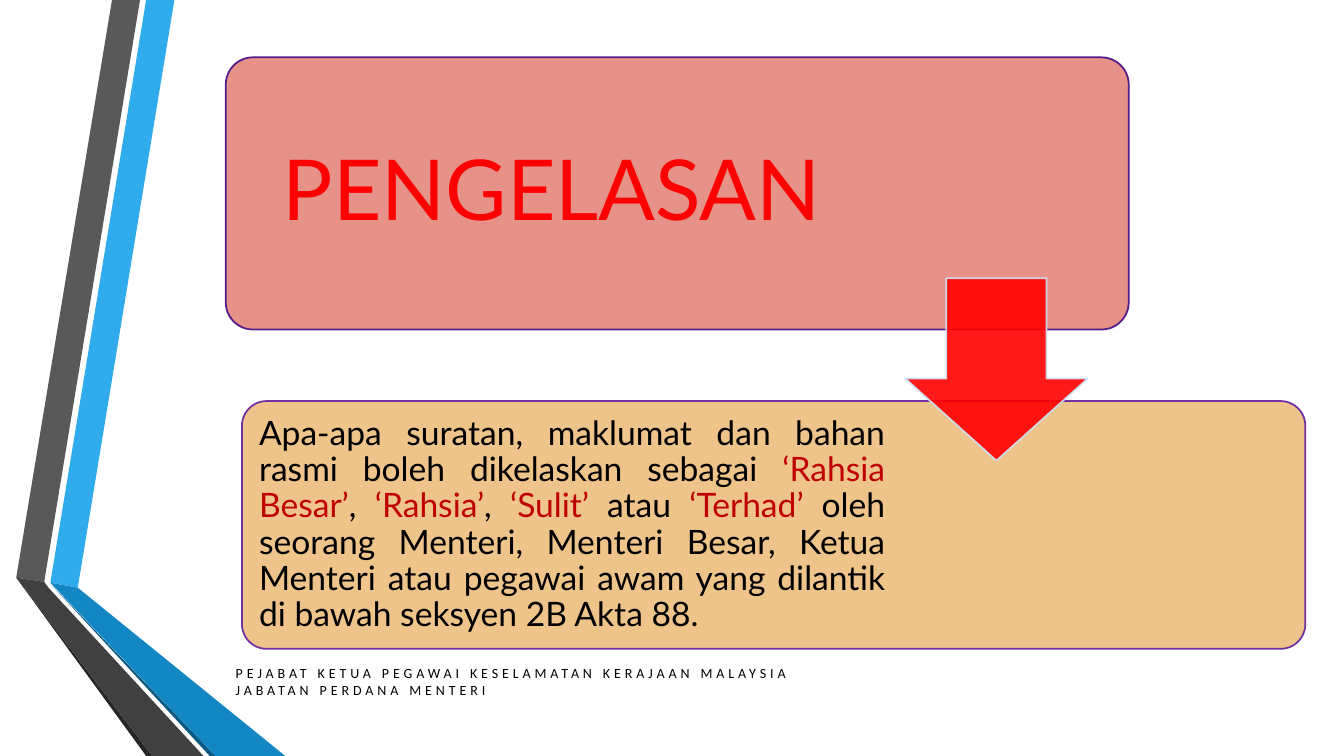
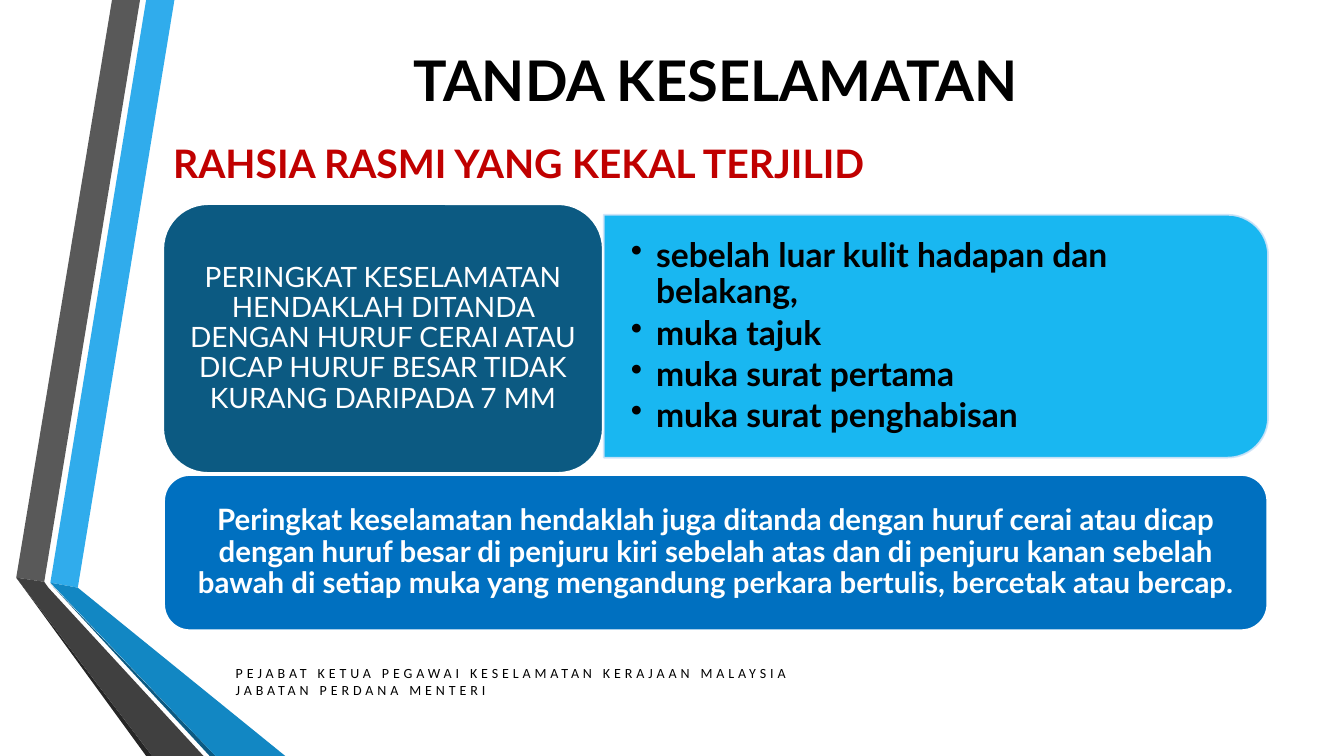
from pptx import Presentation
from pptx.dml.color import RGBColor
from pptx.enum.shapes import MSO_SHAPE
from pptx.enum.text import MSO_ANCHOR, PP_ALIGN
from pptx.oxml.ns import qn
from pptx.util import Pt
from lxml.etree import SubElement

COLORS = {
    "black": "000000", "white": "FFFFFF", "red": "FF0000", "crimson": "C00000",
    "sky": "30ACEC", "ocean": "1287C3", "navy": "0C5A82", "grey": "595959",
    "charcoal": "404040", "soot": "262626", "salmon": "E69289", "sand": "EEC48B",
    "violet": "541B89", "purple": "7030A0", "ice": "CDE3F8", "cyan": "00B0F0",
    "blue": "0070C0",
}

BANDS = [
    ("sky", [(36, 416.2), (55.6, 419.8), (124.6, 0), (104.4, 0)]),
    ("grey", [(100, 0), (80, 0), (11.6, 412.6), (31.6, 415.6)]),
    ("soot", [(11.6, 412.6), (104.4, 540), (108.7, 540)]),
    ("navy", [(36, 416.9), (149.8, 540), (154, 540)]),
    ("ocean", [(36, 416.2), (154, 540), (203.8, 540), (55.6, 419.8)]),
    ("charcoal", [(145.4, 540), (34.6, 419.8), (31.6, 415.6), (11.6, 412.6), (108.7, 540)]),
]

FOOTER = [
    "PEJABAT KETUA PEGAWAI KESELAMATAN KERAJAAN MALAYSIA",
    "JABATAN PERDANA MENTERI",
]
FOOTER_STYLE = dict(size=10, name="Calibri", spc=280)
TITLE_STYLE = dict(size=40, bold=True, align=PP_ALIGN.CENTER)
SUBTITLE_STYLE = dict(size=28, bold=True, color="crimson")

CLASSIFICATION = [[
    ("Apa-apa suratan, maklumat dan bahan rasmi boleh dikelaskan sebagai ", "black"),
    ("‘Rahsia Besar’", "crimson"), (", ", "black"),
    ("‘Rahsia’", "crimson"), (",", "black"),
    (" ‘Sulit’ ", "crimson"), ("atau ", "black"), ("‘Terhad’ ", "crimson"),
    ("oleh seorang Menteri, Menteri Besar, Ketua Menteri atau pegawai awam "
     "yang dilantik di bawah seksyen 2B Akta 88.", "black"),
]]

PLACES = [
    "sebelah luar kulit hadapan dan belakang,",
    "muka tajuk",
    "muka surat pertama",
    "muka surat penghabisan",
]
LETTERING = [
    "PERINGKAT KESELAMATAN HENDAKLAH DITANDA DENGAN HURUF CERAI ATAU "
    "DICAP HURUF BESAR TIDAK KURANG DARIPADA 7 MM"
]
CORNERS = [
    "Peringkat keselamatan hendaklah juga ditanda dengan huruf cerai atau dicap "
    "dengan huruf besar di penjuru kiri sebelah atas dan di penjuru kanan sebelah "
    "bawah di setiap muka yang mengandung perkara bertulis, bercetak atau bercap."
]


def rgb(name):
    return RGBColor.from_string(COLORS[name])


def write(sp, paragraphs, size, name="Lato", color="black", bold=False, align=PP_ALIGN.LEFT,
          spacing=None, after=0, bullet=None, spc=None,
          anchor=MSO_ANCHOR.TOP, insets=(7.2, 3.6, 7.2, 3.6), wrap=True):
    tf = sp.text_frame
    left, top, right, bottom = map(Pt, insets)
    frame = dict(word_wrap=wrap, vertical_anchor=anchor, margin_left=left,
                 margin_top=top, margin_right=right, margin_bottom=bottom)
    for key, value in frame.items():
        setattr(tf, key, value)
    for i, runs in enumerate(paragraphs):
        p = tf.add_paragraph() if i else tf.paragraphs[0]
        if bullet:
            pPr = p._p.get_or_add_pPr()
            pPr.set("marL", str(Pt(18)))
            pPr.set("indent", str(-Pt(18)))
            SubElement(pPr, qn("a:buChar")).set("char", bullet)
        layout = dict(alignment=align, line_spacing=spacing, space_after=Pt(after))
        for key, value in layout.items():
            setattr(p, key, value)
        for text, ink in [(runs, color)] if isinstance(runs, str) else runs:
            r = p.add_run()
            r.text = text
            for key, value in dict(size=Pt(size), name=name, bold=bold).items():
                setattr(r.font, key, value)
            r.font.color.rgb = rgb(ink)
            if spc:
                r._r.get_or_add_rPr().set("spc", str(spc))


def add_text(slide, box, paragraphs, **style):
    write(slide.shapes.add_textbox(*map(Pt, box)), paragraphs, **style)


def add_box(slide, kind, box, fill, line, adjust=(), rotation=0, opacity=None):
    sp = slide.shapes.add_shape(kind, *map(Pt, box))
    sp.shadow.inherit = False
    sp.rotation = rotation
    for i, value in enumerate(adjust):
        sp.adjustments[i] = value
    sp.fill.solid()
    sp.fill.fore_color.rgb = rgb(fill)
    sp.line.color.rgb = rgb(line)
    sp.line.width = Pt(1.25)
    if opacity:
        for clr in sp._element.spPr.iter(qn("a:srgbClr")):
            SubElement(clr, qn("a:alpha")).set("val", str(opacity * 1000))
    return sp


def add_slide(prs):
    slide = prs.slides.add_slide(prs.slide_layouts[6])
    for color, points in BANDS:
        start, *rest = [(Pt(x), Pt(y)) for x, y in points]
        builder = slide.shapes.build_freeform(*start)
        builder.add_line_segments(rest, close=True)
        sp = builder.convert_to_shape()
        sp.shadow.inherit = False
        sp.fill.solid()
        sp.fill.fore_color.rgb = rgb(color)
        sp.line.fill.background()
    add_text(slide, (161.3, 470.9, 481, 31.5), FOOTER, **FOOTER_STYLE)
    return slide


def build_classification(prs):
    slide = add_slide(prs)
    middle = dict(anchor=MSO_ANCHOR.MIDDLE, spacing=0.9)
    heading = add_box(slide, MSO_SHAPE.ROUNDED_RECTANGLE, (161.3, 41, 645, 194.4),
                      "salmon", "violet", [0.1])
    write(heading, ["PENGELASAN"], size=60, color="red", align=PP_ALIGN.RIGHT,
          insets=(18, 18, 214, 18), **middle)
    body = add_box(slide, MSO_SHAPE.ROUNDED_RECTANGLE, (172.8, 286.5, 759.6, 177),
                   "sand", "purple", [0.1])
    write(body, CLASSIFICATION, size=24, align=PP_ALIGN.JUSTIFY,
          insets=(7.2, 7.2, 295, 7.2), **middle)
    add_box(slide, MSO_SHAPE.DOWN_ARROW, (646.6, 198.7, 130.3, 130.3),
            "red", "ice", [0.55, 0.45], opacity=90)


def build_markings(prs):
    slide = add_slide(prs)
    middle = dict(anchor=MSO_ANCHOR.MIDDLE, spacing=0.9)
    centred = dict(color="white", align=PP_ALIGN.CENTER, insets=(6, 3, 6, 3), **middle)
    add_text(slide, (116.6, 16.6, 789, 80), ["TANDA KESELAMATAN"],
             anchor=MSO_ANCHOR.MIDDLE, **TITLE_STYLE)
    add_text(slide, (116.6, 95.8, 564.5, 41), ["RAHSIA RASMI YANG KEKAL TERJILID"],
             wrap=False, **SUBTITLE_STYLE)
    add_box(slide, MSO_SHAPE.ROUND_2_SAME_RECTANGLE, (581.8, 2.9, 173.5, 474.5),
            "cyan", "ice", rotation=90, opacity=90)
    add_text(slide, (431.3, 162, 465.8, 157), PLACES, size=24, bold=True, bullet="•",
             after=3.6, insets=(19.4, 10, 19.4, 10), **middle)
    lettering = add_box(slide, MSO_SHAPE.ROUNDED_RECTANGLE, (116.6, 145.8, 314, 192),
                        "navy", "white")
    write(lettering, LETTERING, size=20, **centred)
    corners = add_box(slide, MSO_SHAPE.ROUNDED_RECTANGLE, (117.2, 339.3, 788, 110.9),
                      "blue", "white")
    write(corners, CORNERS, size=21, bold=True, **centred)


def main():
    prs = Presentation()
    prs.slide_width, prs.slide_height = Pt(960), Pt(540)
    build_classification(prs)
    build_markings(prs)
    prs.save("out.pptx")


if __name__ == "__main__":
    main()
